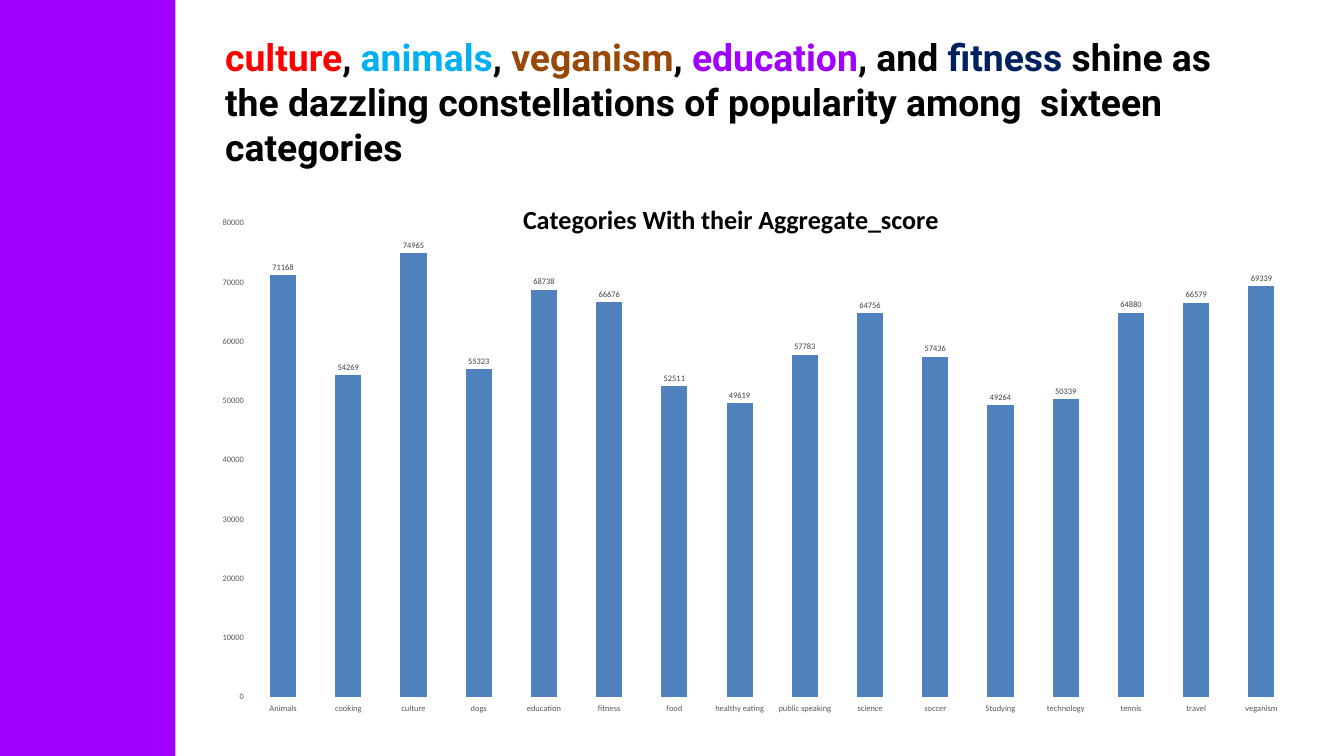
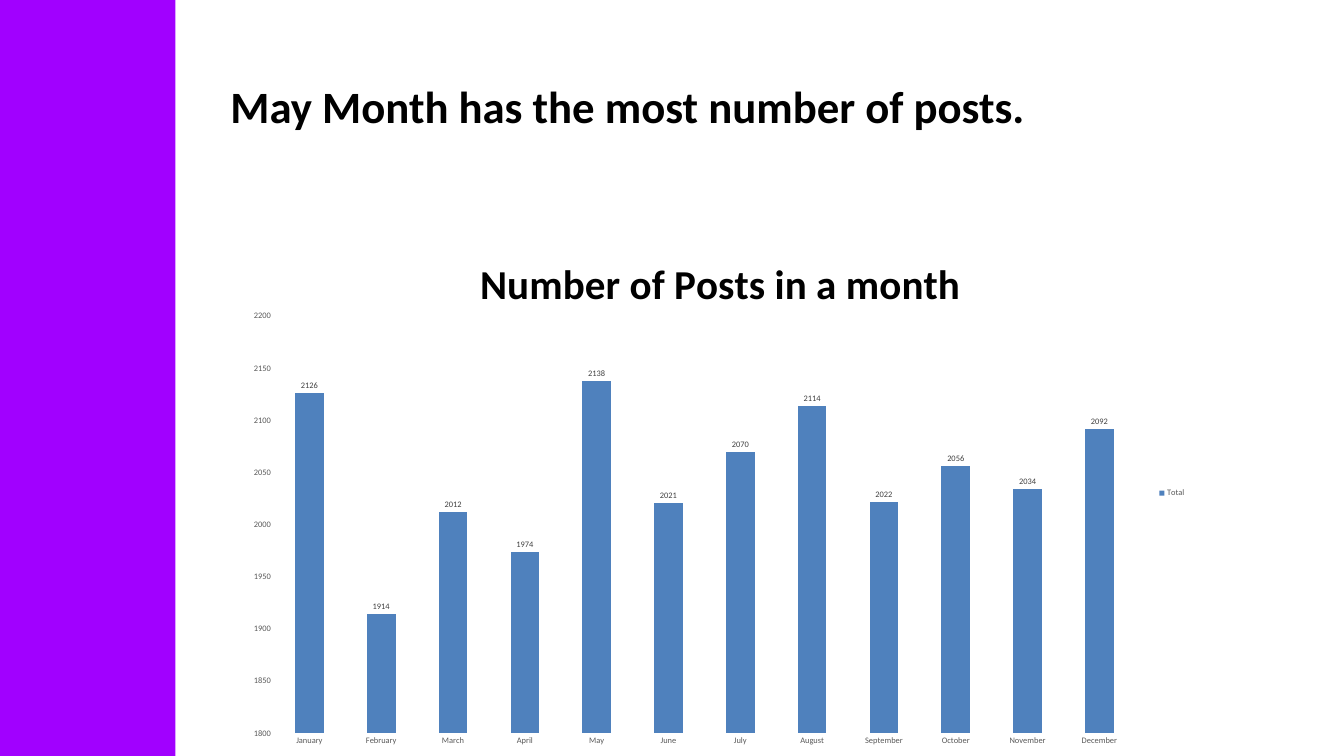
"""Build two slides that chart category scores and monthly posts."""
from lxml.etree import SubElement
from pptx import Presentation
from pptx.chart.data import CategoryChartData as Data
from pptx.dml.color import RGBColor
from pptx.enum.chart import XL_CHART_TYPE as Kind, XL_LABEL_POSITION as Spot
from pptx.enum.chart import XL_LEGEND_POSITION as Side, XL_TICK_MARK as Tick
from pptx.enum.shapes import MSO_SHAPE as Shape
from pptx.enum.text import MSO_ANCHOR as Anchor, MSO_AUTO_SIZE as Fit, PP_ALIGN as Align
from pptx.oxml.ns import qn
from pptx.util import Inches, Pt

PURPLE, BLUE, BLACK = "A100FF", "4F81BD", "000000"
GREY, DARK = "595959", "404040"


def style(font, size, color, name="Calibri", bold=False):
    """Set size, colour, face and weight of a font."""
    font.size, font.name, font.bold = Pt(size), name, bold
    font.color.rgb = RGBColor.from_string(color)


def pin(node, **shares):
    """Fix a chart part at shares of the chart's size."""
    old = node.find(qn("c:layout"))
    if old is None:
        old = SubElement(node, qn("c:layout"))
        node.insert(0, old)
    box = SubElement(old, qn("c:manualLayout"))
    if "w" in shares:
        SubElement(box, qn("c:layoutTarget")).set("val", "inner")
    for key in "xy":
        SubElement(box, qn(f"c:{key}Mode")).set("val", "edge")
    for key, share in shares.items():
        SubElement(box, qn(f"c:{key}")).set("val", str(share))


slides = [
    dict(
        head=[("culture", "FF0000"), (", ", BLACK), ("animals", "00B0F0"),
              (", ", BLACK), ("veganism", "984807"), (", ", BLACK),
              ("education", PURPLE), (", and ", BLACK), ("fitness ", "002060"),
              ("shine as the dazzling constellations of popularity among  "
               "sixteen categories", BLACK)],
        face="Roboto", size=40, spot=(13, 1.84, 60.44, 5.8),
        chart=(11.92, 9.16, 66.44, 34), name="Categories With their Aggregate_score",
        big=28, title=dict(x=0.285, y=0.075),
        plot=dict(x=0.045, y=0.121, w=0.935, h=0.83),
        scale=(0, 80000, 10000), tick=Tick.OUTSIDE, legend=False, series="Series 1",
        vals={"Animals": 71168, "cooking": 54269, "culture": 74965, "dogs": 55323,
              "education": 68738, "fitness": 66676, "food": 52511,
              "healthy eating": 49619, "public speaking": 57783, "science": 64756,
              "soccer": 57436, "Studying": 49264, "technology": 50339,
              "tennis": 64880, "travel": 66579, "veganism": 69339}),
    dict(
        head=[("May Month has the most number of posts.", BLACK)],
        face="Calibri", size=48, spot=(13.32, 4.48, 53.2, 3.64),
        chart=(14, 13.72, 57, 31.28), name="Number of Posts in a month",
        big=44, title=dict(x=0.248, y=0.033),
        plot=dict(x=0.04, y=0.163, w=0.9, h=0.794),
        scale=(1800, 2200, 50), tick=Tick.NONE, legend=True, series="Total",
        vals={"January": 2126, "February": 1914, "March": 2012, "April": 1974,
              "May": 2138, "June": 2021, "July": 2070, "August": 2114,
              "September": 2022, "October": 2056, "November": 2034,
              "December": 2092}),
]

deck = Presentation()
deck.slide_width, deck.slide_height = Inches(20), Inches(11.25)
unit = deck.slide_width / 80

for item in slides:
    slide = deck.slides.add_slide(deck.slide_layouts[5])
    band = slide.shapes.add_shape(Shape.RECTANGLE, 0, 0, int(10.44 * unit), deck.slide_height)
    band.shadow.inherit = False
    band.fill.solid()
    band.fill.fore_color.rgb = RGBColor.from_string(PURPLE)
    band.line.fill.background()

    head = slide.shapes.title
    head.left, head.top, head.width, head.height = [int(n * unit) for n in item["spot"]]
    frame = head.text_frame
    frame.word_wrap, frame.auto_size = True, Fit.SHAPE_TO_FIT_TEXT
    frame.vertical_anchor = Anchor.TOP
    line = frame.paragraphs[0]
    line.alignment = Align.LEFT
    for text, color in item["head"]:
        run = line.add_run()
        run.text = text
        style(run.font, item["size"], color, item["face"], True)

    data = Data()
    data.categories = list(item["vals"])
    data.add_series(item["series"], list(item["vals"].values()))
    place = [int(n * unit) for n in item["chart"]]
    chart = slide.shapes.add_chart(Kind.COLUMN_CLUSTERED, *place, data).chart
    style(chart.font, 10, BLACK)
    chart.has_title = True
    label = chart.chart_title.text_frame
    label.text = item["name"]
    style(label.paragraphs[0].runs[0].font, item["big"], BLACK, bold=True)
    root = chart._chartSpace
    pin(root.find(".//" + qn("c:title")), **item["title"])
    pin(root.find(".//" + qn("c:plotArea")), **item["plot"])

    for axis in (chart.category_axis, chart.value_axis):
        axis.has_major_gridlines = False
        axis.major_tick_mark, axis.minor_tick_mark = item["tick"], Tick.NONE
        axis.format.line.fill.background()
        style(axis.tick_labels.font, 9, GREY)
    axis.minimum_scale, axis.maximum_scale, axis.major_unit = item["scale"]

    chart.has_legend = item["legend"]
    if item["legend"]:
        chart.legend.position = Side.RIGHT
        chart.legend.include_in_layout = False
        style(chart.legend.font, 9, GREY)

    plot = chart.plots[0]
    plot.gap_width, plot.vary_by_categories = 150, False
    bars = plot.series[0]
    bars.format.fill.solid()
    bars.format.fill.fore_color.rgb = RGBColor.from_string(BLUE)
    labels = bars.data_labels
    labels.show_value, labels.position = True, Spot.OUTSIDE_END
    style(labels.font, 9, DARK)

deck.save("out.pptx")
